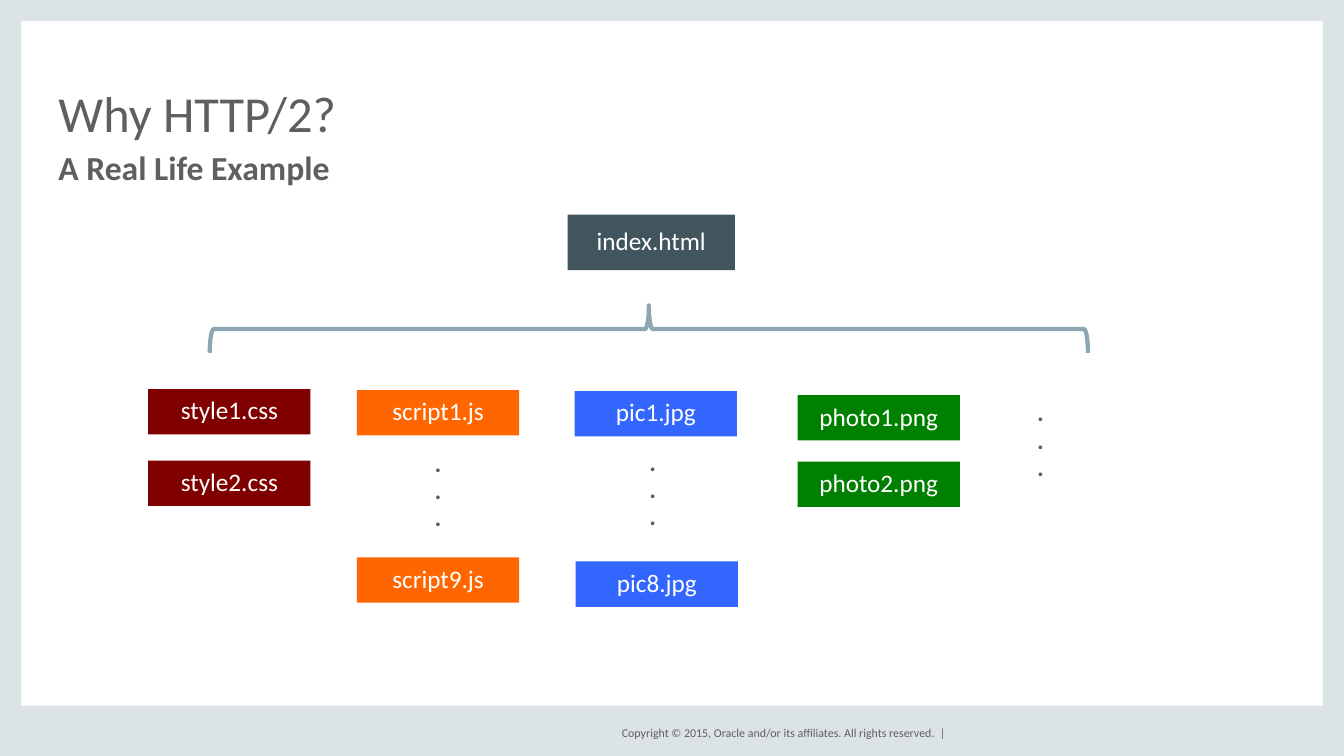
from pptx import Presentation
from pptx.dml.color import RGBColor
from pptx.enum.shapes import MSO_SHAPE
from pptx.enum.text import MSO_ANCHOR, PP_ALIGN
from pptx.util import Inches, Pt

RECT, BRACE = MSO_SHAPE.RECTANGLE, MSO_SHAPE.LEFT_BRACE
TOP, MIDDLE, BOTTOM = MSO_ANCHOR.TOP, MSO_ANCHOR.MIDDLE, MSO_ANCHOR.BOTTOM
LEFT, CENTER, RIGHT = PP_ALIGN.LEFT, PP_ALIGN.CENTER, PP_ALIGN.RIGHT

FONT = "Calibri"
WHITE = RGBColor(0xFF, 0xFF, 0xFF)
GRAY = RGBColor(0x5F, 0x5F, 0x5F)
FRAME = RGBColor(0xDC, 0xE3, 0xE4)
SLATE = RGBColor(0x41, 0x55, 0x5E)
STEEL = RGBColor(0x8D, 0xA6, 0xB1)
MAROON = RGBColor(0x80, 0x00, 0x00)
ORANGE = RGBColor(0xFF, 0x66, 0x00)
BLUE = RGBColor(0x33, 0x66, 0xFF)
GREEN = RGBColor(0x00, 0x80, 0x00)

# Content
TITLE = "Why HTTP/2?"
SUBTITLE = "A Real Life Example"
COPYRIGHT = "Copyright © 2015, Oracle and/or its affiliates. All rights reserved.  |"
PAGE_FILE = "index.html"
# Files the page loads: colour, then (name, left, top)
RESOURCES = [
    (MAROON, [("style1.css", 1.47, 3.86), ("style2.css", 1.47, 4.57)]),
    (ORANGE, [("script1.js", 3.54, 3.87), ("script9.js", 3.54, 5.53)]),
    (BLUE, [("pic1.jpg", 5.7, 3.88), ("pic8.jpg", 5.71, 5.57)]),
    (GREEN, [("photo1.png", 7.91, 3.92), ("photo2.png", 7.91, 4.58)]),
]
# Vertical ellipses: left, top, width
ELLIPSES = [(4.26, 4.47, 0.17), (6.39, 4.46, 0.17), (10.17, 3.97, 0.3)]

# Geometry
WIDTH, HEIGHT = 13.33, 7.5
EDGE, FOOTER = 0.21, 0.5
FILE_SIZE = (1.61, 0.45)

deck = Presentation()
deck.slide_width, deck.slide_height = Inches(WIDTH), Inches(HEIGHT)
page = deck.slides.add_slide(deck.slide_layouts[5])


def write(box, lines, size, color=GRAY, bold=False, align=LEFT,
          anchor=TOP, spacing=0.9, wrap=True, inset=0):
    frame = box.text_frame
    frame.word_wrap = wrap
    frame.vertical_anchor = anchor
    frame.margin_left = frame.margin_right = Inches(inset)
    frame.margin_top = frame.margin_bottom = Inches(inset / 2)
    for number, line in enumerate(lines):
        para = frame.add_paragraph() if number else frame.paragraphs[0]
        para.alignment, para.line_spacing = align, spacing
        span = para.add_run()
        span.text = line
        span.font.name, span.font.size = FONT, Pt(size)
        span.font.bold, span.font.color.rgb = bold, color


def add_text(left, top, width, height, lines, size, **style):
    box = page.shapes.add_textbox(*map(Inches, (left, top, width, height)))
    write(box, lines, size, **style)


def add_bar(left, top, width, height, color):
    bar = page.shapes.add_shape(RECT, *map(Inches, (left, top, width, height)))
    bar.shadow.inherit = False
    bar.fill.solid()
    bar.fill.fore_color.rgb = color
    bar.line.fill.background()
    return bar


def add_file(left, top, size, name, color):
    box = add_bar(left, top, *size, color)
    write(box, [name], 18, color=WHITE, align=CENTER, anchor=MIDDLE, inset=0.1)


# Frame and copyright line
for bar_place in [(0, 0, EDGE, HEIGHT), (WIDTH - EDGE, 0, EDGE, HEIGHT),
                  (0, HEIGHT - FOOTER, WIDTH, FOOTER), (0, 0, WIDTH, EDGE)]:
    add_bar(*bar_place, FRAME)
add_text(5.88, 7.17, 3.5, 0.2, [COPYRIGHT], 8.5, align=RIGHT,
         anchor=MIDDLE, spacing=1.0, wrap=False)

# Title and subtitle
title = page.shapes.title
title.left, title.top = Inches(0.58), Inches(0.44)
title.width, title.height = Inches(12.17), Inches(0.97)
write(title, [TITLE], 36, anchor=BOTTOM, spacing=0.8)
add_text(0.58, 1.5, 12.17, 0.38, [SUBTITLE], 24, bold=True)

# Page file and the brace below it
add_file(5.63, 2.13, (1.66, 0.55), PAGE_FILE, SLATE)
brace = page.shapes.add_shape(BRACE, *map(Inches, (6.2, -1.09, 0.47, 8.71)))
brace.rotation = 90
brace.adjustments[0], brace.adjustments[1] = 0.083, 0.5
brace.shadow.inherit = False
brace.fill.background()
brace.line.color.rgb, brace.line.width = STEEL, Pt(3)

# Loaded files
for color, files in RESOURCES:
    for name, left, top in files:
        add_file(left, top, FILE_SIZE, name, color)
for left, top, width in ELLIPSES:
    add_text(left, top, width, 1.03, ["."] * 3, 18, bold=True,
             align=CENTER, wrap=False)

deck.save("out.pptx")
